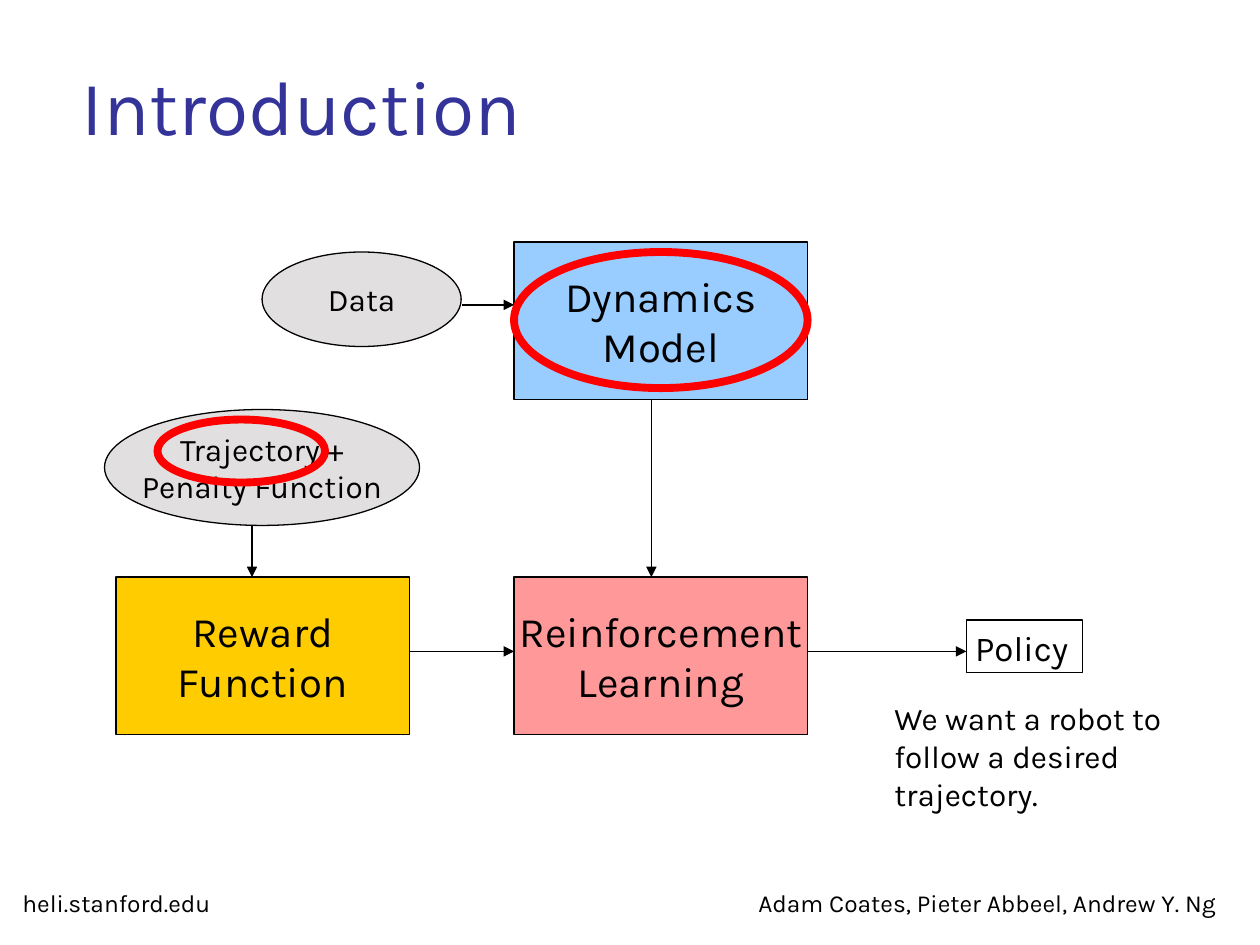
from lxml import etree
from pptx import Presentation
from pptx.dml.color import RGBColor
from pptx.enum.shapes import MSO_CONNECTOR, MSO_SHAPE as Shape
from pptx.enum.text import MSO_ANCHOR as Anchor, PP_ALIGN as Align
from pptx.oxml.ns import qn
from pptx.util import Inches, Pt

FONT = "Karla"
BLACK, RED, GREY, INDIGO = "000000", "FF0000", "E1DFDF", "333399"
YELLOW, PINK, BLUE = "FFCC00", "FF9999", "99CCFF"

# Grid of the flow chart
BOX_WIDTH, BOX_HEIGHT = 2.33, 1.25
LEFT_COLUMN, MIDDLE_COLUMN = 0.92, 4.08
TOP_ROW, BOTTOM_ROW = 1.92, 4.58
FLOW_Y = 5.17


def color(value):
    return RGBColor.from_string(value)


def set_text(text_frame, text, size, align=Align.LEFT, text_color=BLACK):
    text_frame.text = text
    for paragraph in text_frame.paragraphs:
        paragraph.alignment = align
        for run in paragraph.runs:
            run.font.name = FONT
            run.font.size = Pt(size)
            run.font.color.rgb = color(text_color)


def add_title(slide, text):
    title = slide.shapes.title
    title.left, title.top = Inches(0.55), Inches(0.23)
    title.width, title.height = Inches(9.23), Inches(1.02)
    title.text_frame.vertical_anchor = Anchor.BOTTOM
    set_text(title.text_frame, text, 44, text_color=INDIGO)


def add_text(slide, left, top, width, height, text, size, wrap=True):
    box = slide.shapes.add_textbox(Inches(left), Inches(top),
                                   Inches(width), Inches(height))
    box.text_frame.word_wrap = wrap
    set_text(box.text_frame, text, size)


def add_outline(slide, kind, left, top, width, height,
                line_color=BLACK, line_width=0.75):
    shape = slide.shapes.add_shape(kind, Inches(left), Inches(top),
                                   Inches(width), Inches(height))
    shape.shadow.inherit = False
    shape.fill.background()
    shape.line.color.rgb = color(line_color)
    shape.line.width = Pt(line_width)
    return shape


def add_node(slide, kind, left, top, width, height, fill, text, size):
    shape = add_outline(slide, kind, left, top, width, height)
    shape.fill.solid()
    shape.fill.fore_color.rgb = color(fill)
    shape.text_frame.word_wrap = False
    shape.text_frame.vertical_anchor = Anchor.MIDDLE
    set_text(shape.text_frame, text, size, Align.CENTER)


def add_arrow(slide, x1, y1, x2, y2):
    arrow = slide.shapes.add_connector(MSO_CONNECTOR.STRAIGHT, Inches(x1),
                                       Inches(y1), Inches(x2), Inches(y2))
    arrow.line.color.rgb = color(BLACK)
    arrow.line.width = Pt(0.75)
    properties = arrow._element.spPr
    line = properties.find(qn("a:ln"))
    etree.SubElement(line, qn("a:tailEnd"), type="triangle")
    etree.SubElement(properties, qn("a:effectLst"))


def main():
    presentation = Presentation()
    presentation.slide_width = Inches(10)
    presentation.slide_height = Inches(7.5)
    slide = presentation.slides.add_slide(presentation.slide_layouts[5])

    # Footer and title
    add_text(slide, 5.92, 7, 3.92, 0.57,
             "Adam Coates, Pieter Abbeel, Andrew Y. Ng", 14)
    add_text(slide, 0.08, 7, 2, 0.34, "heli.stanford.edu", 14)
    add_title(slide, "Introduction")

    # Process boxes
    for left, top, fill, text in (
        (LEFT_COLUMN, BOTTOM_ROW, YELLOW, "Reward\nFunction"),
        (MIDDLE_COLUMN, BOTTOM_ROW, PINK, "Reinforcement\nLearning"),
        (MIDDLE_COLUMN, TOP_ROW, BLUE, "Dynamics\nModel"),
    ):
        add_node(slide, Shape.RECTANGLE, left, top, BOX_WIDTH, BOX_HEIGHT,
                 fill, text, 24)

    # Inputs
    add_node(slide, Shape.OVAL, 2.08, 2, 1.58, 0.75, GREY, "Data", 18)
    add_node(slide, Shape.OVAL, 0.83, 3.25, 2.5, 0.92, GREY,
             "Trajectory +\nPenalty Function", 18)

    # Flow arrows
    add_arrow(slide, LEFT_COLUMN + BOX_WIDTH, FLOW_Y, MIDDLE_COLUMN, FLOW_Y)
    add_arrow(slide, MIDDLE_COLUMN + BOX_WIDTH, FLOW_Y, 7.67, FLOW_Y)
    add_arrow(slide, 5.17, TOP_ROW + BOX_HEIGHT, 5.17, BOTTOM_ROW)
    add_arrow(slide, 2, 4.17, 2, BOTTOM_ROW)
    add_arrow(slide, 3.67, 2.42, MIDDLE_COLUMN, 2.42)

    # Resulting policy
    add_text(slide, 7.64, 4.92, 0.95, 0.44, "Policy", 20, wrap=False)
    add_outline(slide, Shape.RECTANGLE, 7.67, 4.92, 0.92, 0.42)
    add_text(slide, 7, 5.5, 2.75, 1,
             "We want a robot to follow a desired trajectory.", 18)

    # Red highlights
    add_outline(slide, Shape.OVAL, 1.25, 3.33, 1.33, 0.5, RED, 4.5)
    add_outline(slide, Shape.OVAL, MIDDLE_COLUMN, 2, BOX_WIDTH, 1.08, RED, 4.5)

    presentation.save("out.pptx")


if __name__ == "__main__":
    main()
